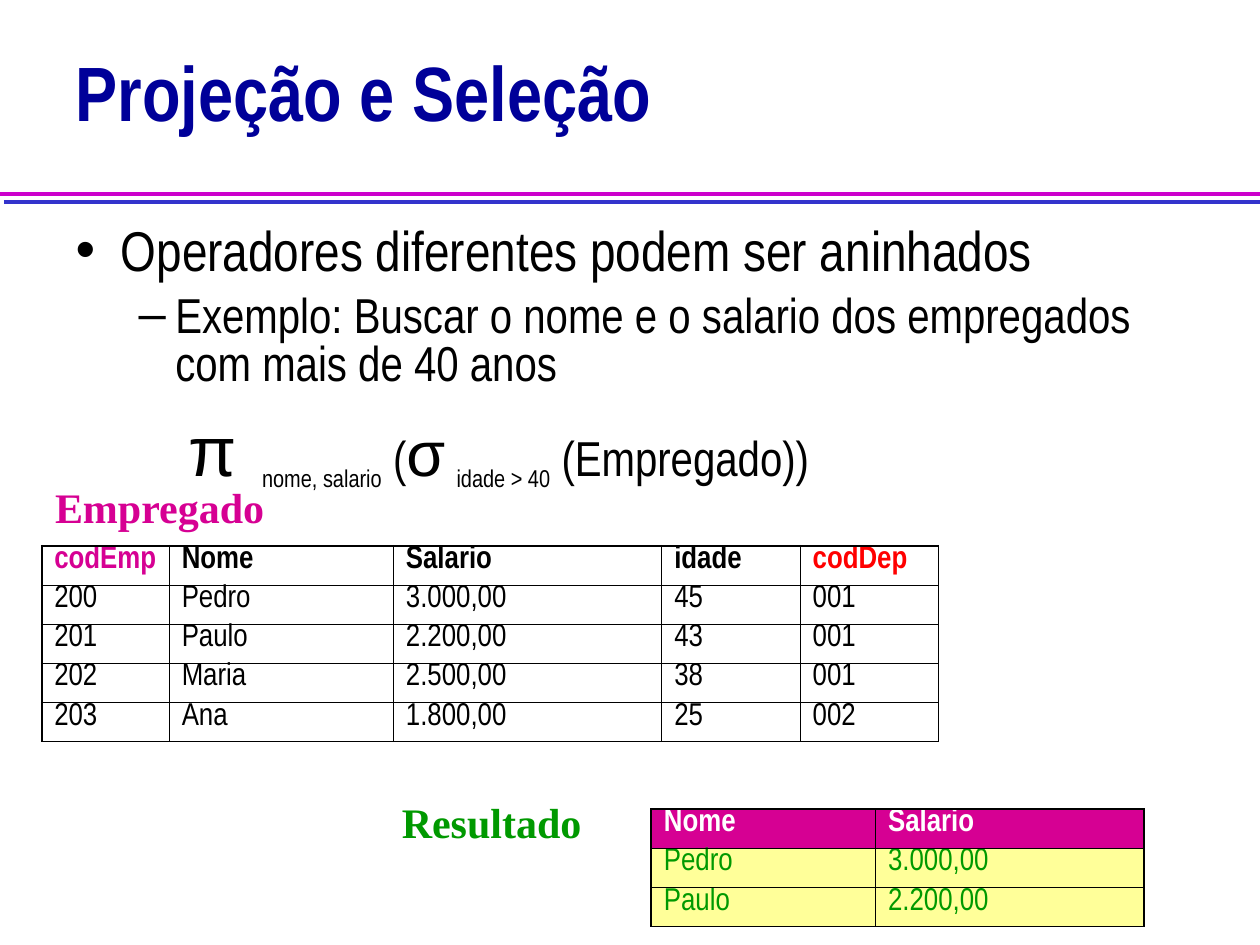
from lxml.etree import SubElement
from pptx import Presentation
from pptx.dml.color import RGBColor
from pptx.enum.shapes import MSO_CONNECTOR
from pptx.enum.text import MSO_ANCHOR as Anchor, MSO_AUTO_SIZE as AutoSize, PP_ALIGN as Align
from pptx.oxml.ns import qn
from pptx.util import Cm, Pt

NARROW, SANS, SERIF = "Arial Narrow", "Arial", "Times New Roman"
BLACK, WHITE, PINK, GREEN, RED = "000000", "FFFFFF", "D60093", "009900", "FF0000"
ROW_HEIGHT, THICK, THIN = 0.79, 1.08, 0.45

TITLE = "Projeção e Seleção"
BULLETS = [
    ("Operadores diferentes podem ser aninhados", 0, 32, 0.91, -0.91, 0),
    ("Exemplo: Buscar o nome e o salario dos empregados com mais de 40 anos", 1, 28, 2.01, -0.74, 7),
]
FORMULA = [
    ("π", 40, SANS, 0, 0),
    (" ", 32, NARROW, 0, 7.3),
    ("nome, salario", 24, NARROW, -25, 0),
    (" (", 28, NARROW, 0, 0),
    ("σ", 36, SANS, 0, 0),
    (" ", 28, NARROW, 0, 0),
    ("idade > 40", 24, NARROW, -25, 0),
    (" (Empregado))", 28, NARROW, 0, 0),
]
RULES = [(0, 3.91, "CC00CC"), (0.08, 4.07, "3333CC")]
LABELS = [
    ("Empregado", 0.86, 9.96, 4.72, PINK),
    ("Resultado", 7.85, 16.31, 4.3, GREEN),
]
TABLES = [
    {
        "place": (0.84, 11),
        "widths": [2.57, 4.52, 5.41, 2.79, 2.79],
        "rows": [
            ("codEmp", "Nome", "Salario", "idade", "codDep"),
            ("200", "Pedro", "3.000,00", "45", "001"),
            ("201", "Paulo", "2.200,00", "43", "001"),
            ("202", "Maria", "2.500,00", "38", "001"),
            ("203", "Ana", "1.800,00", "25", "002"),
        ],
        "header_colors": [PINK, BLACK, BLACK, BLACK, RED],
        "body_color": BLACK,
        "fills": (None, None),
    },
    {
        "place": (13.13, 16.31),
        "widths": [4.52, 5.41],
        "rows": [("Nome", "Salario"), ("Pedro", "3.000,00"), ("Paulo", "2.200,00")],
        "header_colors": [WHITE, WHITE],
        "body_color": GREEN,
        "fills": (PINK, "FFFF99"),
    },
]


def rgb(value):
    return RGBColor.from_string(value)


def style(font, size, name, color, bold=False):
    font.size, font.name, font.bold = Pt(size), name, bold
    font.color.rgb = rgb(color)


def move(shape, left, top, width, height):
    shape.left, shape.top, shape.width, shape.height = map(Cm, (left, top, width, height))


def indent(paragraph, margin, first):
    properties = paragraph._p.get_or_add_pPr()
    properties.set("marL", str(Cm(margin)))
    properties.set("indent", str(Cm(first)))
    return properties


def border(cell, sides):
    properties = cell._tc.get_or_add_tcPr()
    for tag, width in sides.items():
        line = SubElement(properties, qn(f"a:{tag}"), w=str(Pt(width)))
        SubElement(SubElement(line, qn("a:solidFill")), qn("a:srgbClr"), val=BLACK)


def add_title(slide):
    title = slide.shapes.title
    move(title, 1.27, 0.28, 22.83, 3.43)
    frame = title.text_frame
    frame.text = TITLE
    frame.auto_size, frame.vertical_anchor = AutoSize.NONE, Anchor.MIDDLE
    paragraph = frame.paragraphs[0]
    paragraph.alignment, paragraph.line_spacing = Align.LEFT, 0.82
    style(paragraph.font, 44, NARROW, "000099", True)


def add_body(slide):
    body = slide.placeholders[1]
    move(body, 1.27, 4.45, 22.83, 12.55)
    frame = body.text_frame
    frame.auto_size = AutoSize.NONE
    for index, (text, level, size, margin, first, before) in enumerate(BULLETS):
        paragraph = frame.add_paragraph() if index else frame.paragraphs[0]
        paragraph.text, paragraph.level = text, level
        paragraph.line_spacing, paragraph.space_before = 0.82, Pt(before)
        indent(paragraph, margin, first)
        style(paragraph.font, size, NARROW, BLACK)

    formula = frame.add_paragraph()
    formula.level, formula.line_spacing, formula.space_before = 1, 0.82, Pt(17)
    SubElement(indent(formula, 2.27, 0), qn("a:buNone"))
    for text, size, name, baseline, spacing in FORMULA:
        run = formula.add_run()
        run.text = text
        style(run.font, size, name, BLACK)
        properties = run._r.get_or_add_rPr()
        if baseline:
            properties.set("baseline", str(baseline * 1000))
        if spacing:
            properties.set("spc", str(round(spacing * 100)))


def add_rule(slide, left, top, color):
    rule = slide.shapes.add_connector(MSO_CONNECTOR.STRAIGHT, Cm(left), Cm(top), Cm(25.4), Cm(top))
    rule.line.color.rgb, rule.line.width = rgb(color), Pt(2.25)
    SubElement(rule._element.spPr, qn("a:effectLst"))


def add_label(slide, text, left, top, width, color):
    label = slide.shapes.add_textbox(Cm(left), Cm(top), Cm(width), Cm(0.84))
    frame = label.text_frame
    frame.text = text
    frame.word_wrap, frame.auto_size = False, AutoSize.SHAPE_TO_FIT_TEXT
    paragraph = frame.paragraphs[0]
    paragraph.line_spacing = 0.58
    style(paragraph.font, 24, SERIF, color, True)


def add_data_table(slide, place, widths, rows, header_colors, body_color, fills):
    last_row, last_column = len(rows) - 1, len(widths) - 1
    table = slide.shapes.add_table(
        len(rows), len(widths), *map(Cm, place), Cm(sum(widths)), Cm(ROW_HEIGHT * len(rows))
    ).table
    table.first_row = table.horz_banding = False
    for column, width in zip(table.columns, widths):
        column.width = Cm(width)
    for r, values in enumerate(rows):
        table.rows[r].height = Cm(ROW_HEIGHT)
        for c, value in enumerate(values):
            cell = table.cell(r, c)
            cell.text = value
            paragraph = cell.text_frame.paragraphs[0]
            paragraph.line_spacing = 0.69
            style(paragraph.font, 18, NARROW, body_color if r else header_colors[c], r == 0)
            outer = {"lnL": c == 0, "lnR": c == last_column, "lnT": r == 0, "lnB": r == last_row}
            border(cell, {tag: THICK if edge else THIN for tag, edge in outer.items()})
            fill = fills[min(r, 1)]
            if fill:
                cell.fill.solid()
                cell.fill.fore_color.rgb = rgb(fill)
            else:
                cell.fill.background()


def main():
    presentation = Presentation()
    presentation.slide_width, presentation.slide_height = Cm(25.4), Cm(19.05)
    slide = presentation.slides.add_slide(presentation.slide_layouts[1])
    for rule in RULES:
        add_rule(slide, *rule)
    add_title(slide)
    add_body(slide)
    for table in TABLES:
        add_data_table(slide, **table)
    for label in LABELS:
        add_label(slide, *label)
    presentation.save("out.pptx")


if __name__ == "__main__":
    main()
